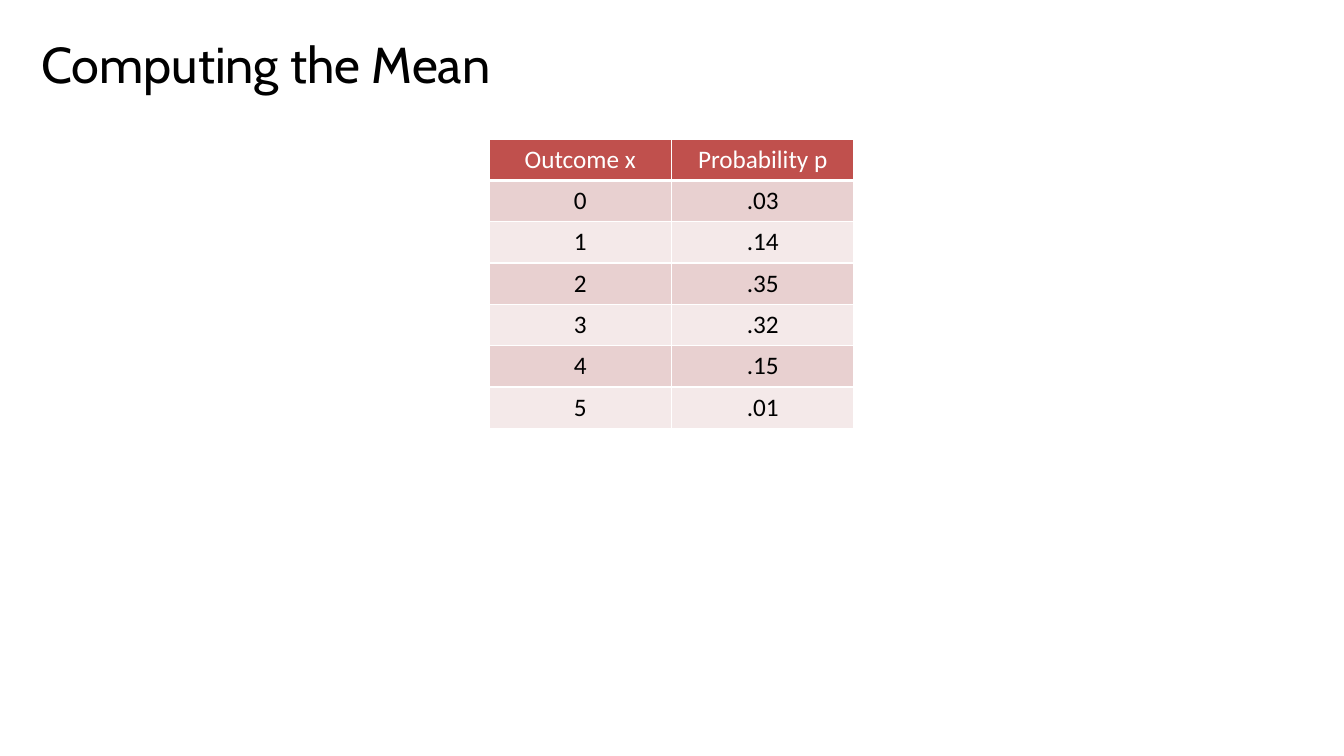
from dataclasses import dataclass

from lxml import etree
from pptx import Presentation
from pptx import util as u
from pptx.dml.color import RGBColor
from pptx.enum import text
from pptx.oxml import ns


@dataclass(frozen=True)
class Theme:
    title_font: str = "Cabin"
    table_font: str = "Calibri"
    title_size: int = 36
    table_size: int = 18
    ink: str = "000000"
    white: str = "FFFFFF"
    header: str = "C0504D"
    bands: tuple = ("E8D0D0", "F4E9E9")
    rule: int = 1
    header_rule: int = 3


class SlideBuilder:
    def __init__(self, slide, theme):
        self.slide = slide
        self.theme = theme

    def style(self, paragraph, font, size, color):
        for run in paragraph.runs:
            run.font.name = font
            run.font.size = u.Pt(size)
            run.font.color.rgb = RGBColor.from_string(color)

    def title(self, wording, left, top, width, height, indent):
        frame = self.slide.shapes.add_textbox(
            u.Inches(left), u.Inches(top), u.Inches(width), u.Inches(height)).text_frame
        frame.word_wrap = True
        frame.vertical_anchor = text.MSO_ANCHOR.MIDDLE
        frame.margin_left = u.Inches(indent)
        frame.text = wording
        self.style(frame.paragraphs[0], self.theme.title_font,
                   self.theme.title_size, self.theme.ink)

    def border(self, cell, side, points):
        properties = cell._tc.get_or_add_tcPr()
        line = etree.SubElement(properties, ns.qn(f"a:ln{side}"), w=str(u.Pt(points)))
        fill = etree.SubElement(line, ns.qn("a:solidFill"))
        etree.SubElement(fill, ns.qn("a:srgbClr"), val=self.theme.white)

    def cell(self, cell, wording, row):
        theme = self.theme
        is_header = row == 0
        for side in "LRTB":
            thick = is_header and side == "B"
            self.border(cell, side, theme.header_rule if thick else theme.rule)
        cell.fill.solid()
        cell.fill.fore_color.rgb = RGBColor.from_string(
            theme.header if is_header else theme.bands[(row - 1) % 2])
        cell.text = wording
        paragraph = cell.text_frame.paragraphs[0]
        paragraph.alignment = text.PP_ALIGN.CENTER
        self.style(paragraph, theme.table_font, theme.table_size,
                   theme.white if is_header else theme.ink)

    def table(self, rows, left, top, column_width, row_height):
        columns = len(rows[0])
        grid = self.slide.shapes.add_table(
            len(rows), columns, u.Inches(left), u.Inches(top),
            u.Inches(column_width * columns), u.Inches(row_height * len(rows))).table
        for r, row in enumerate(rows):
            for c, wording in enumerate(row):
                self.cell(grid.cell(r, c), wording, r)


def main():
    deck = Presentation()
    deck.slide_width = u.Inches(13.33)
    deck.slide_height = u.Inches(7.5)
    builder = SlideBuilder(deck.slides.add_slide(deck.slide_layouts[6]), Theme())

    # Probability distribution
    probabilities = [".03", ".14", ".35", ".32", ".15", ".01"]
    distribution = [("Outcome x", "Probability p")]
    distribution += [(str(x), p) for x, p in enumerate(probabilities)]
    builder.table(distribution, 4.85, 1.38, column_width=1.81, row_height=0.41)

    # Heading
    builder.title("Computing the Mean", 0, 0, 9, 1.25, indent=0.41)

    deck.save("out.pptx")


if __name__ == "__main__":
    main()
